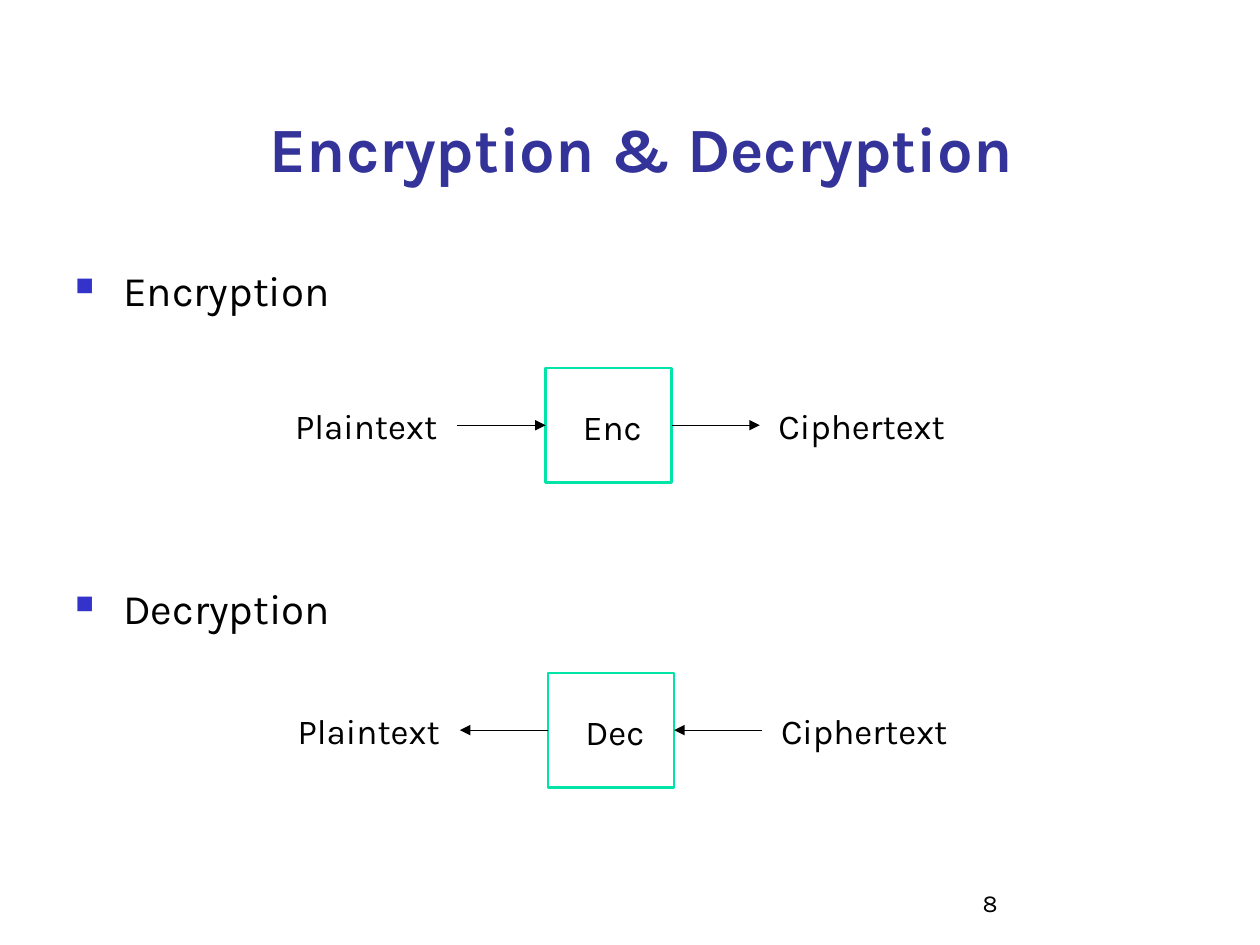
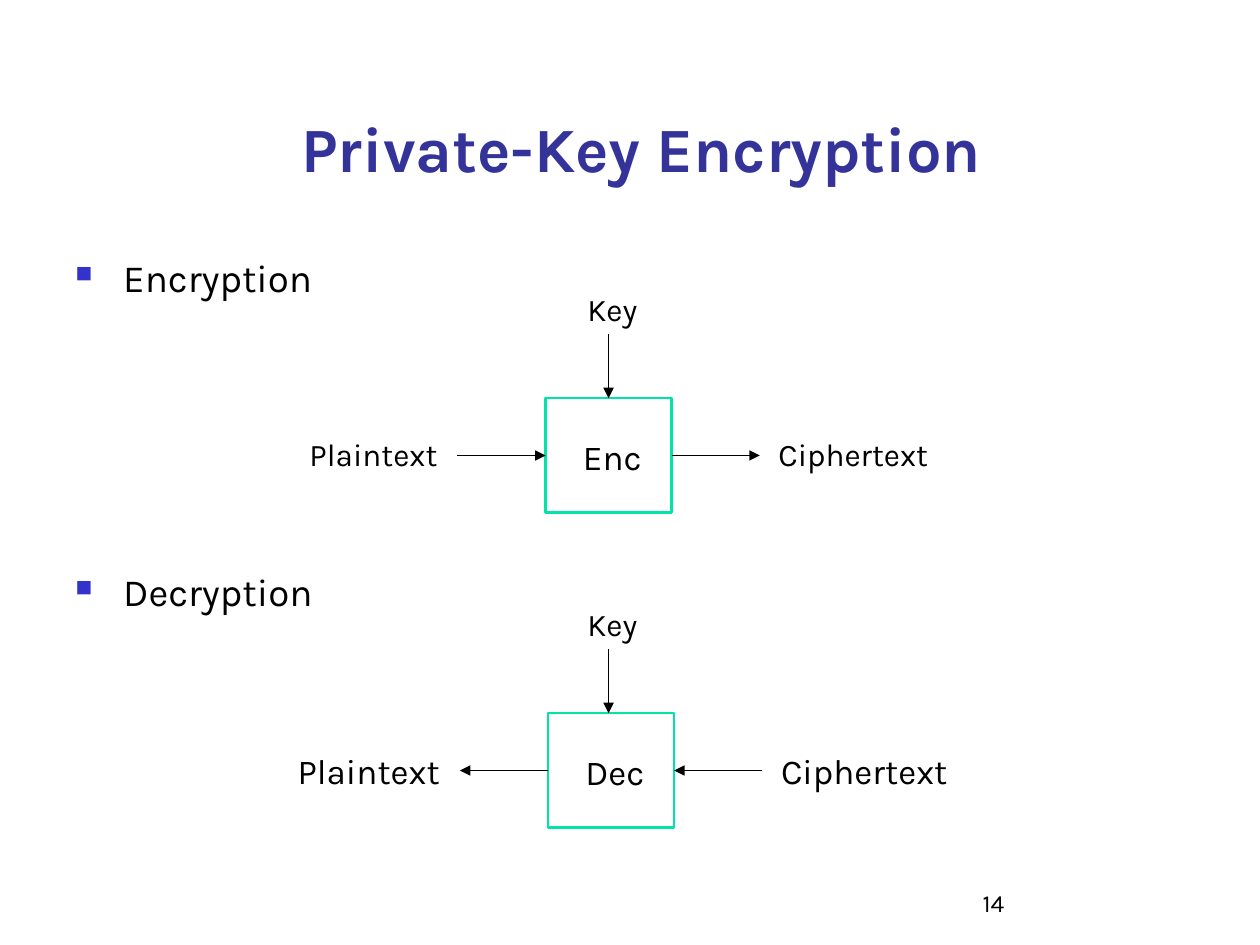
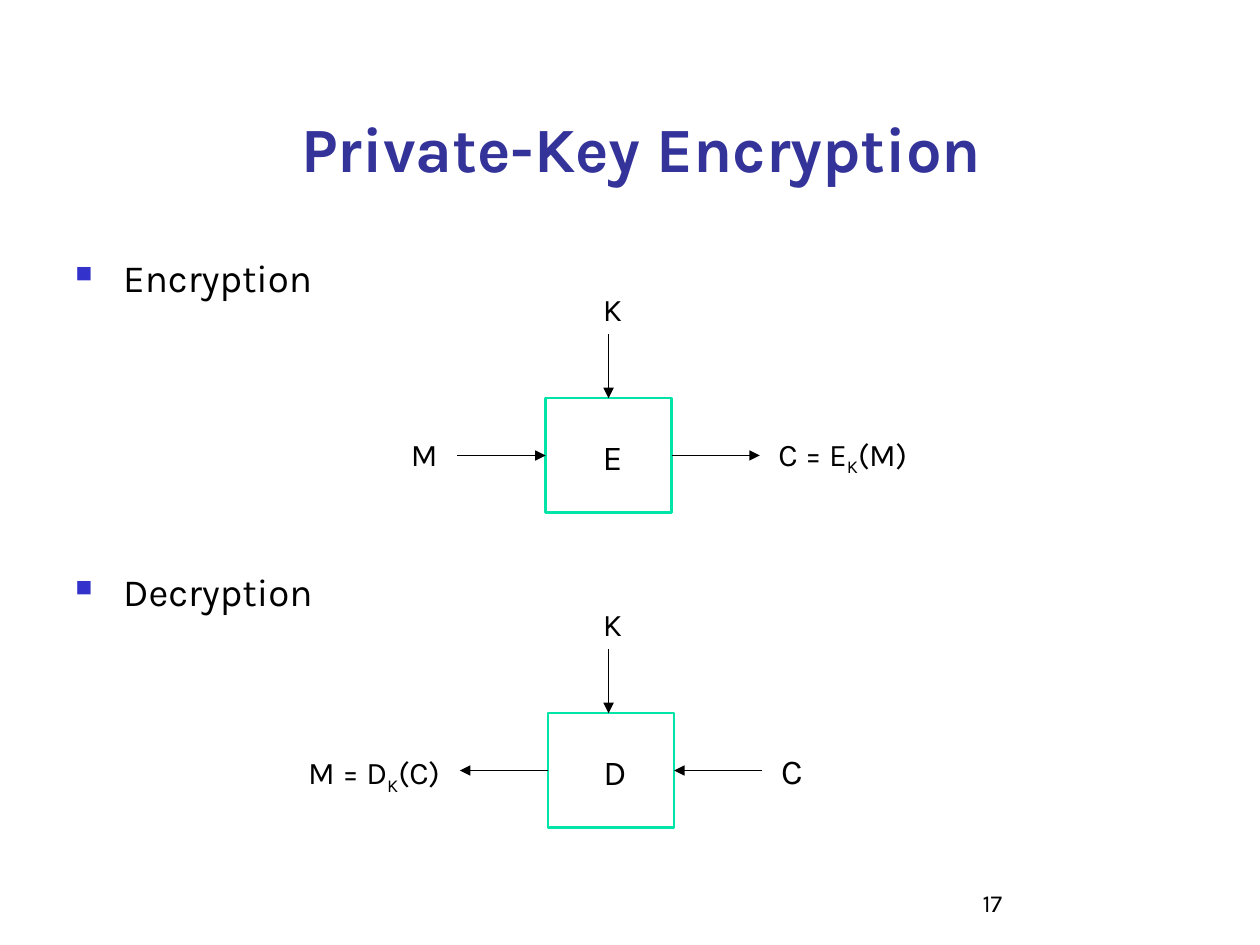
from dataclasses import dataclass

from lxml import etree
from pptx import Presentation
from pptx.dml.color import RGBColor
from pptx.enum import shapes, text as t
from pptx.oxml.ns import qn
from pptx.util import Inches, Pt

COLOURS = {"title": "333399", "bullet": "3333CC", "frame": "00E4A8", "ink": "000000"}
FONT = "Karla"
ALIGN = {"left": t.PP_ALIGN.LEFT, "center": t.PP_ALIGN.CENTER, "right": t.PP_ALIGN.RIGHT}
LINE_HEIGHT = {18: 0.4, 20: 0.44}
CIPHER_WIDTH, CIPHER_HEIGHT = 1, 0.91
KEY_X = 4.83


@dataclass
class Label:
    """A diagram label; text between underscores is subscript."""
    words: str
    size: int = 18
    width: float = 1.62
    drop: float = 0.24


def rgb(name):
    return RGBColor.from_string(COLOURS[name])


def add_words(para, words, size=20, colour="ink", bold=False):
    for index, piece in enumerate(words.split("_")):
        span = para.add_run()
        span.text = piece
        span.font.name, span.font.size, span.font.bold = FONT, Pt(size), bold
        span.font.color.rgb = rgb(colour)
        if index % 2:
            span.font._element.set("baseline", "-25000")


def add_text(page, words, left, top, width, height, align="left", bottom=False, **style):
    box = page.shapes.add_textbox(*map(Inches, (left, top, width, height)))
    frame = box.text_frame
    frame.word_wrap = True
    frame.vertical_anchor = t.MSO_ANCHOR.BOTTOM if bottom else t.MSO_ANCHOR.TOP
    para = frame.paragraphs[0]
    para.alignment = ALIGN[align]
    add_words(para, words, **style)
    return frame


def add_arrow(page, *ends):
    arrow = page.shapes.add_connector(shapes.MSO_CONNECTOR.STRAIGHT, *map(Inches, ends))
    arrow.line.color.rgb = rgb("ink")
    arrow.line.width = Pt(0.75)
    etree.SubElement(arrow.line._get_or_add_ln(), qn("a:tailEnd"), type="triangle")
    etree.SubElement(arrow._element.spPr, qn("a:effectLst"))


def format_bullet(para, space_before):
    para.space_before = Pt(space_before)
    props = para._p.get_or_add_pPr()
    props.set("marL", str(Inches(0.38)))
    props.set("indent", str(-Inches(0.38)))
    colour = etree.SubElement(props, qn("a:buClr"))
    etree.SubElement(colour, qn("a:srgbClr"), val=COLOURS["bullet"])
    etree.SubElement(props, qn("a:buSzPct"), val="60000")
    etree.SubElement(props, qn("a:buChar"), char="■")


def add_page(deck, title, number, body_top, body_size):
    """Title, page number and the two bulleted headings."""
    page = deck.slides.add_slide(deck.slide_layouts[6])
    add_text(page, title, 0.83, -0.08, 8.52, 1.6, align="center", bottom=True,
             size=36, colour="title", bold=True)
    add_text(page, number, 7.7, 6.83, 2.08, 0.5, bottom=True, size=14)
    body = add_text(page, "Encryption", 0.5, body_top, 9, 4.95, size=body_size)
    format_bullet(body.paragraphs[0], 18)
    second = body.add_paragraph()
    add_words(second, "Decryption", size=body_size)
    format_bullet(second, 153)  # leaves room for the first diagram
    return page


def add_cipher(page, left, top, name, plain, cipher, key=None, decrypts=False):
    """Cipher box with plaintext on its left, ciphertext on its right, key above."""
    box = page.shapes.add_shape(
        shapes.MSO_SHAPE.RECTANGLE,
        *map(Inches, (left, top, CIPHER_WIDTH, CIPHER_HEIGHT)))
    box.shadow.inherit = False
    box.fill.background()
    box.line.color.rgb = rgb("frame")
    box.line.width = Pt(1.5)
    add_text(page, name, left + 0.07, top + 0.25, 0.92, 0.44, align="center")

    # Side labels
    right = left + CIPHER_WIDTH
    add_text(page, plain.words, left - 0.76 - plain.width, top + plain.drop,
             plain.width, LINE_HEIGHT[plain.size], align="right", size=plain.size)
    add_text(page, cipher.words, right + 0.75, top + cipher.drop,
             cipher.width, LINE_HEIGHT[cipher.size], size=cipher.size)

    # Arrows run left to right, or right to left when decrypting
    middle = top + CIPHER_HEIGHT / 2
    for start, end in ((left - 0.7, left), (right, right + 0.7)):
        if decrypts:
            start, end = end, start
        add_arrow(page, start, middle, end, middle)

    if key:
        add_arrow(page, KEY_X, top - 0.51, KEY_X, top)
        add_text(page, key, KEY_X - 0.91, top - 0.91, 1.88, 0.4, align="center", size=18)


def add_keyed_page(deck, number, key, encryption, decryption):
    page = add_page(deck, "Private-Key Encryption", number, 1.97, 22)
    add_cipher(page, 4.33, 3.16, *encryption, key=key)
    add_cipher(page, 4.35, 5.66, *decryption, key=key, decrypts=True)


deck = Presentation()
deck.slide_width, deck.slide_height = Inches(10), Inches(7.5)

plaintext = Label("Plaintext", 20, 1.42)
ciphertext = Label("Ciphertext", 20)

# Encryption and decryption without a key
page = add_page(deck, "Encryption & Decryption", "8", 2.05, 24)
add_cipher(page, 4.33, 2.92, "Enc", plaintext, ciphertext)
add_cipher(page, 4.35, 5.34, "Dec", plaintext, ciphertext, decrypts=True)

# Private key, in words
add_keyed_page(deck, "14", "Key",
               ("Enc", Label("Plaintext", width=1.42), Label("Ciphertext")),
               ("Dec", plaintext, ciphertext))

# Private key, in symbols
add_keyed_page(deck, "17", "K",
               ("E", Label("M", width=1.42), Label("C = E_K_(M)")),
               ("D", Label("M = D_K_(C)", drop=0.27), Label("C", 20)))

deck.save("out.pptx")
